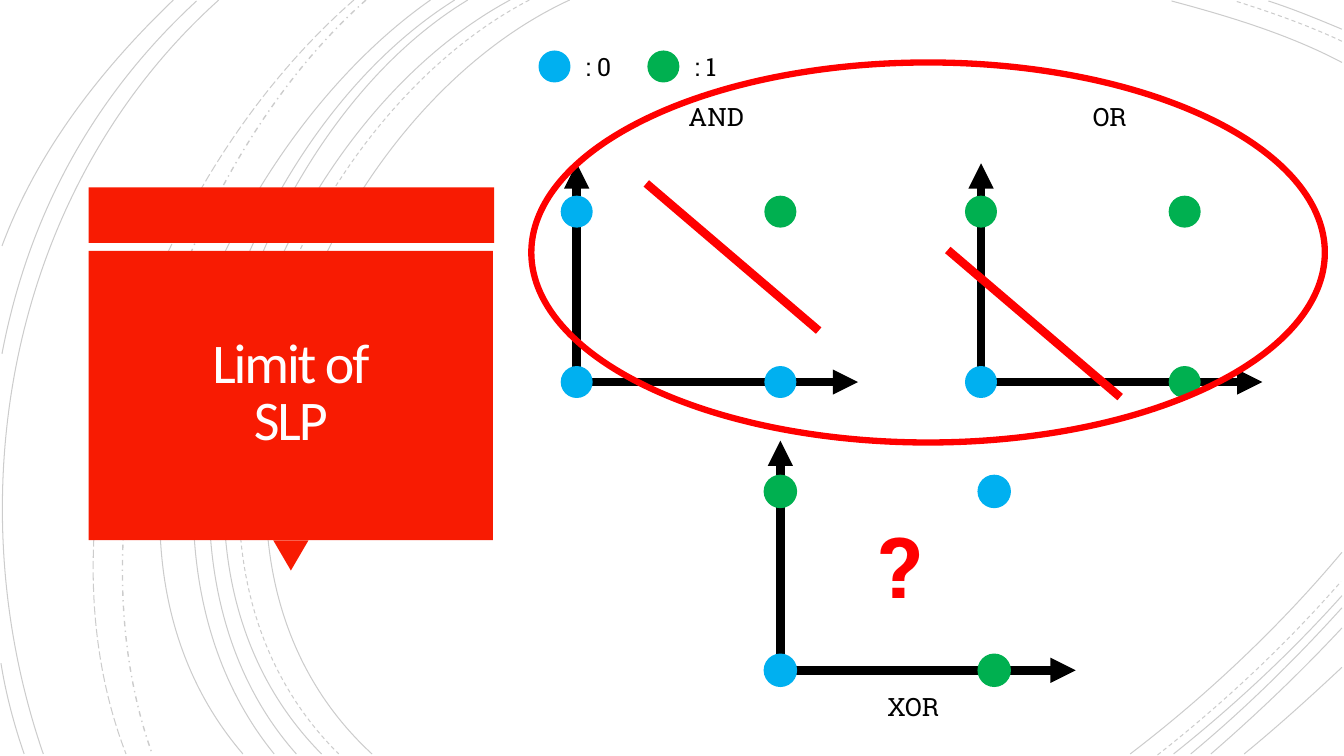
import pptx
import pptx.dml.color
import pptx.enum.dml
import pptx.enum.shapes
import pptx.enum.text
import pptx.oxml.ns
import pptx.util
from lxml import etree

# Grid: square cells of one inch
COLUMNS, ROWS = 13.33, 7.5
CELL = 914400

BLACK, RED, BANNER_RED, TITLE_WHITE = "000000", "FF0000", "F81B02", "FFFEFF"
CLASS_COLOURS = ("00B0F0", "00B050")  # class 0, class 1

# Plot proportions in cells, at scale 1
STEP_X, STEP_Y = 2.02, 1.69
AXIS_X, AXIS_Y = 2.79, 2.17
DOT = 0.3
SEPARATOR_RUN, SEPARATOR_DROP = 1.71, 1.46

OVAL = pptx.enum.shapes.MSO_SHAPE.OVAL
RECTANGLE = pptx.enum.shapes.MSO_SHAPE.RECTANGLE
TRIANGLE = pptx.enum.shapes.MSO_SHAPE.ISOSCELES_TRIANGLE
STROKE = pptx.enum.dml.MSO_LINE

# Sweeps from top to bottom edge: top x, two control points, bottom x
SWEEPS = {
    STROKE.SOLID: [
        (5.65, (3.15, 1.15), (1.43, 5.4), 3.69),
        (5.06, (2.7, 1.27), (1.1, 5.37), 3.19),
        (4.64, (2.44, 1.33), (1.1, 5.41), 2.94),
        (4.51, (2.31, 1.38), (0.97, 5.33), 2.72),
        (4.27, (2.17, 1.47), (0.53, 5.29), 2.41),
        (2.17, (0.11, 1.85), (-0.46, 4.9), 0.43),
    ],
    STROKE.DASH: [(5.25, (2.85, 1.25), (1.23, 5.37), 3.36)],
    STROKE.DASH_DOT: [(3.63, (1.76, 1.66), (0.65, 5.09), 1.51)],
    STROKE.LONG_DASH: [(3.51, (1.57, 1.69), (0.29, 4.99), 1.25)],
}

# Short arcs that leave the slide at its side edges
EDGE_ARCS = {
    STROKE.SOLID: [
        ((13.31, 0.62), (12.78, 0.34), (12.18, 0.16), (11.62, 0.01)),
        ((13.31, 0.29), (13.07, 0.19), (12.83, 0.09), (12.58, 0.01)),
        ((11.21, 7.48), (11.97, 6.9), (12.69, 6.22), (13.31, 5.48)),
        ((11.64, 7.48), (12.23, 7.01), (12.8, 6.48), (13.31, 5.91)),
        ((11.81, 7.48), (12.34, 7.04), (12.84, 6.55), (13.31, 6.03)),
        ((12.01, 7.48), (12.46, 7.09), (12.9, 6.67), (13.31, 6.23)),
        ((12.34, 7.48), (12.67, 7.21), (12.99, 6.92), (13.31, 6.62)),
        ((1.95, 0.01), (0.92, 0.96), (0.28, 2.14), (0.02, 3.51)),
        ((0.01, 6.58), (0.06, 6.89), (0.14, 7.19), (0.24, 7.48)),
        ((1.72, 0), (1, 0.69), (0.37, 1.5), (0.02, 2.44)),
    ],
    STROKE.DASH: [
        ((13.31, 0.41), (12.97, 0.25), (12.6, 0.12), (12.25, 0.01)),
        ((11.48, 7.49), (12.13, 6.98), (12.75, 6.4), (13.3, 5.77)),
    ],
}


def cells(*counts):
    return [round(count * CELL) for count in counts]


def colour(hex_string):
    return pptx.dml.color.RGBColor.from_string(hex_string)


def add_child(parent, tag, **attributes):
    return etree.SubElement(parent, pptx.oxml.ns.qn(tag), attributes)


def set_line(line, hex_string, points):
    line.color.rgb = colour(hex_string)
    line.width = pptx.util.Pt(points)


def add_arc(slide, points, dash):
    """Draw one faint cubic curve from its four control points."""
    start, *rest = [cells(*point) for point in points]
    builder = slide.shapes.build_freeform(*start, scale=1.0)
    builder.add_line_segments(rest, close=False)
    arc = builder.convert_to_shape()
    arc.shadow.inherit = False
    arc.fill.background()
    set_line(arc.line, BLACK, 1 if dash == STROKE.DASH_DOT else 0.75)
    arc.line.dash_style = dash
    ink = next(arc.line._get_or_add_ln().iter(pptx.oxml.ns.qn("a:srgbClr")))
    add_child(ink, "a:alpha", val="20000")
    # Turn the three straight segments into one curve
    segments = list(arc.element.iter(pptx.oxml.ns.qn("a:lnTo")))
    outline = segments[0].getparent()
    curve = add_child(outline, "a:cubicBezTo")
    for segment in segments:
        curve.append(segment[0])
        outline.remove(segment)


def add_figure(slide, kind, box, fill=None, line=None, points=1.25):
    figure = slide.shapes.add_shape(kind, *cells(*box))
    figure.shadow.inherit = False
    if fill:
        figure.fill.solid()
        figure.fill.fore_color.rgb = colour(fill)
    else:
        figure.fill.background()
    if line:
        set_line(figure.line, line, points)
    else:
        figure.line.fill.background()
    return figure


def add_dot(slide, x, y, value, size=DOT):
    hue = CLASS_COLOURS[value]
    add_figure(slide, OVAL, (x - size / 2, y - size / 2, size, size), hue, hue)


def add_stroke(slide, start, end, hex_string, arrow=False):
    stroke = slide.shapes.add_connector(
        pptx.enum.shapes.MSO_CONNECTOR.STRAIGHT, *cells(*start, *end))
    set_line(stroke.line, hex_string, 6)
    if arrow:
        add_child(stroke.line._get_or_add_ln(), "a:tailEnd", type="triangle")
    add_child(stroke.element.spPr, "a:effectLst")


def add_run(paragraph, words, size, font, hex_string, bold=False):
    run = paragraph.add_run()
    run.text = words
    run.font.size = pptx.util.Pt(size)
    run.font.name = font
    run.font.bold = bold
    run.font.color.rgb = colour(hex_string)
    return run


def add_label(slide, box, words, size=18, hex_string=BLACK, bold=False, wrap=False):
    frame = slide.shapes.add_textbox(*cells(*box)).text_frame
    frame.word_wrap = wrap
    frame.auto_size = pptx.enum.text.MSO_AUTO_SIZE.SHAPE_TO_FIT_TEXT
    add_run(frame.paragraphs[0], words, size, "Roboto Slab", hex_string, bold)


def add_title(slide, box, lines):
    frame = slide.shapes.add_textbox(*cells(*box)).text_frame
    frame.word_wrap = True
    frame.vertical_anchor = pptx.enum.text.MSO_ANCHOR.MIDDLE
    inset = pptx.util.Inches(0.25)
    frame.margin_left = frame.margin_right = inset
    frame.margin_top = frame.margin_bottom = inset
    paragraph = frame.paragraphs[0]
    paragraph.alignment = pptx.enum.text.PP_ALIGN.CENTER
    paragraph.line_spacing = 0.85
    for number, words in enumerate(lines):
        if number:
            paragraph.add_line_break()
        run = add_run(paragraph, words, 40, "Calibri", TITLE_WHITE)
        run.font._element.set("spc", "-150")


def add_gate_plot(slide, x, y, gate, separator=None, scale=1):
    """Draw axes from the origin (x, y), a separating line and four outputs."""
    add_stroke(slide, (x, y), (x, y - AXIS_Y * scale), BLACK, arrow=True)
    add_stroke(slide, (x, y), (x + AXIS_X * scale, y), BLACK, arrow=True)
    if separator:
        left, top = x + separator[0], y + separator[1]
        add_stroke(slide, (left, top),
                   (left + SEPARATOR_RUN, top + SEPARATOR_DROP), RED)
    for a in (0, 1):
        for b in (0, 1):
            add_dot(slide, x + a * STEP_X * scale, y - b * STEP_Y * scale,
                    int(gate(a, b)), DOT * scale)


def main():
    deck = pptx.Presentation()
    deck.slide_width, deck.slide_height = cells(COLUMNS, ROWS)
    slide = deck.slides.add_slide(deck.slide_layouts[6])

    # Background curves
    for dash, sweeps in SWEEPS.items():
        for top, bend, dip, bottom in sweeps:
            add_arc(slide, ((top, 0), bend, dip, (bottom, 7.48)), dash)
    for dash, arcs in EDGE_ARCS.items():
        for points in arcs:
            add_arc(slide, points, dash)

    # Title banner
    add_figure(slide, RECTANGLE, (0.88, 1.86, 4.02, 0.55), BANNER_RED)
    pointer = add_figure(slide, TRIANGLE, (2.71, 5.36, 0.35, 0.3), BANNER_RED)
    pointer.rotation = 180
    add_figure(slide, RECTANGLE, (0.88, 2.49, 4.01, 2.87), BANNER_RED)
    add_title(slide, (0.97, 2.57, 3.83, 2.69), ("Limit of", "SLP"))

    # Separable gates, with their labels
    add_gate_plot(slide, 5.72, 3.79, lambda a, b: a and b, (0.69, -1.97))
    add_gate_plot(slide, 9.73, 3.79, lambda a, b: a or b, (-0.33, -1.31))
    add_label(slide, (6.73, 0.96, 0.75, 0.4), "AND")
    add_label(slide, (10.74, 0.96, 0.56, 0.4), "OR")

    # Legend
    for value in (0, 1):
        shift = 1.08 * value
        add_dot(slide, 5.5 + shift, 0.66, value)
        add_label(slide, (5.71 + shift, 0.46, 0.46, 0.4), f": {value}")

    # Ring around the separable gates
    add_figure(slide, OVAL, (5.27, 0.62, 7.87, 3.77), line=RED, points=4.5)

    # Gate without a separating line
    add_gate_plot(slide, 7.74, 6.65, lambda a, b: a != b, scale=1.05)
    add_label(slide, (8.62, 5.05, 0.34, 1.11), "?", 60, RED, bold=True, wrap=True)
    add_label(slide, (8.7, 6.81, 0.72, 0.4), "XOR")

    deck.save("out.pptx")


if __name__ == "__main__":
    main()
